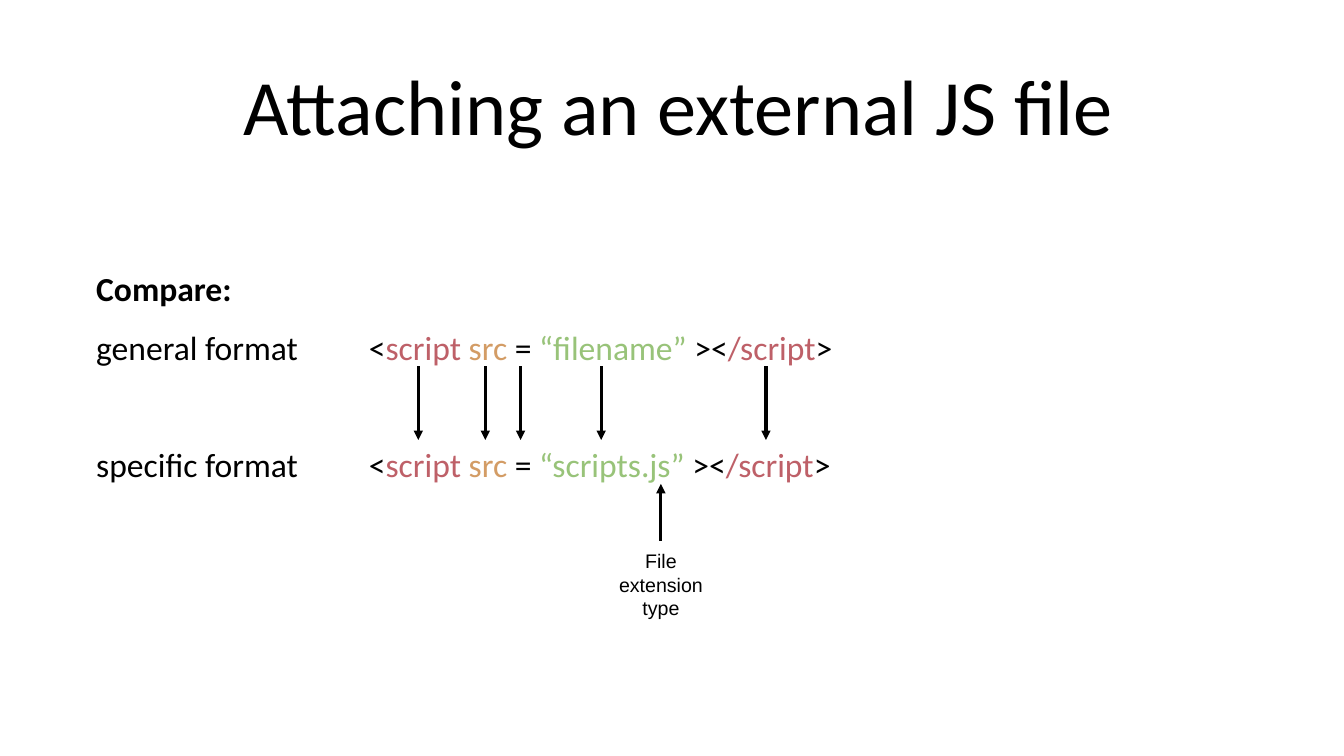
from pptx import Presentation
from pptx.dml.color import RGBColor
from pptx.enum.shapes import MSO_CONNECTOR as Connector
from pptx.enum.text import MSO_ANCHOR as Anchor, MSO_AUTO_SIZE as AutoSize, PP_ALIGN as Align
from pptx.oxml.ns import qn
from pptx.util import Inches, Pt
from lxml.etree import SubElement

BLACK, RED, ORANGE, GREEN = "000000", "BE6068", "D39C65", "98C379"
INSET = 0.06


def rgb(value):
    """Turn a hex string into a colour."""
    return RGBColor.from_string(value)


def prepare_frame(shape, anchor=Anchor.MIDDLE, top_inset=INSET):
    """Set wrapping, insets and anchor of a shape, and return its text frame."""
    frame = shape.text_frame
    frame.word_wrap = True
    frame.auto_size = AutoSize.NONE
    frame.vertical_anchor = anchor
    frame.margin_left = frame.margin_right = frame.margin_bottom = Inches(INSET)
    frame.margin_top = Inches(top_inset)
    return frame


def add_span(para, text, size, color=BLACK, font="Calibri", bold=False):
    """Add one formatted run to a paragraph."""
    span = para.add_run()
    span.text = text
    span.font.size = Pt(size)
    span.font.name = font
    span.font.bold = bold
    span.font.color.rgb = rgb(color)


def add_title(page, box):
    """Place the slide title."""
    title = page.shapes.title
    title.left, title.top, title.width, title.height = map(Inches, box)
    para = prepare_frame(title).paragraphs[0]
    para.alignment = Align.CENTER
    para._p.get_or_add_pPr().set("marL", str(Inches(0.25)))
    add_span(para, "Attaching an external JS file", 112)


def add_code_line(frame, label, filename, space_before):
    """Add a labelled script tag with coloured syntax."""
    para = frame.add_paragraph()
    para.line_spacing = 1.2
    para.space_before = Pt(space_before)
    tabs = SubElement(para._p.get_or_add_pPr(), qn("a:tabLst"))
    SubElement(tabs, qn("a:tab"), pos=str(Inches(5.41)), algn="l")
    parts = [(f"{label}\t<", BLACK), ("script ", RED), ("src ", ORANGE), ("= ", BLACK),
             (f"“{filename}” ", GREEN), ("><", BLACK), ("/script", RED), (">", BLACK)]
    for text, color in parts:
        add_span(para, text, 48, color)


def add_arrow(page, x, start, end):
    """Draw a vertical arrow from start to end."""
    arrow = page.shapes.add_connector(
        Connector.STRAIGHT, Inches(x), Inches(start), Inches(x), Inches(end))
    arrow.line.width = Pt(4.5)
    arrow.line.color.rgb = rgb(BLACK)
    SubElement(arrow.line._get_or_add_ln(), qn("a:tailEnd"), type="triangle")
    SubElement(arrow._element.spPr, qn("a:effectLst"))


def add_comparison(page, box):
    """Place both script tags and the arrows that match their parts."""
    left, top = box[:2]
    text_box = page.shapes.add_textbox(*map(Inches, box))
    frame = prepare_frame(text_box, Anchor.TOP, 1.34)
    heading = frame.paragraphs[0]
    heading.line_spacing = 1.2
    add_span(heading, "Compare:", 48, bold=True)
    add_code_line(frame, "general format", "filename", 15)
    add_code_line(frame, "specific format", "scripts.js", 99)
    for offset in (6.45, 7.78, 8.48, 10.08, 13.35):
        add_arrow(page, left + offset, top + 3.46, top + 4.92)


def add_extension_note(page, box):
    """Place the file extension note under its upward arrow."""
    left, top, width, _ = box
    add_arrow(page, left + width / 2, top - 0.1, top - 1.23)
    note = page.shapes.add_textbox(*map(Inches, box))
    para = prepare_frame(note).paragraphs[0]
    para.alignment = Align.CENTER
    add_span(para, "File extension type", 28, font="Arial")


def main():
    """Build and save the deck."""
    deck = Presentation()
    deck.slide_width, deck.slide_height = Inches(26.67), Inches(15)
    page = deck.slides.add_slide(deck.slide_layouts[5])
    add_title(page, (1.85, 0.81, 22.97, 2.5))
    add_comparison(page, (1.85, 3.81, 22.96, 9.44))
    add_extension_note(page, (11.97, 10.83, 2.29, 1.53))
    deck.save("out.pptx")


if __name__ == "__main__":
    main()
